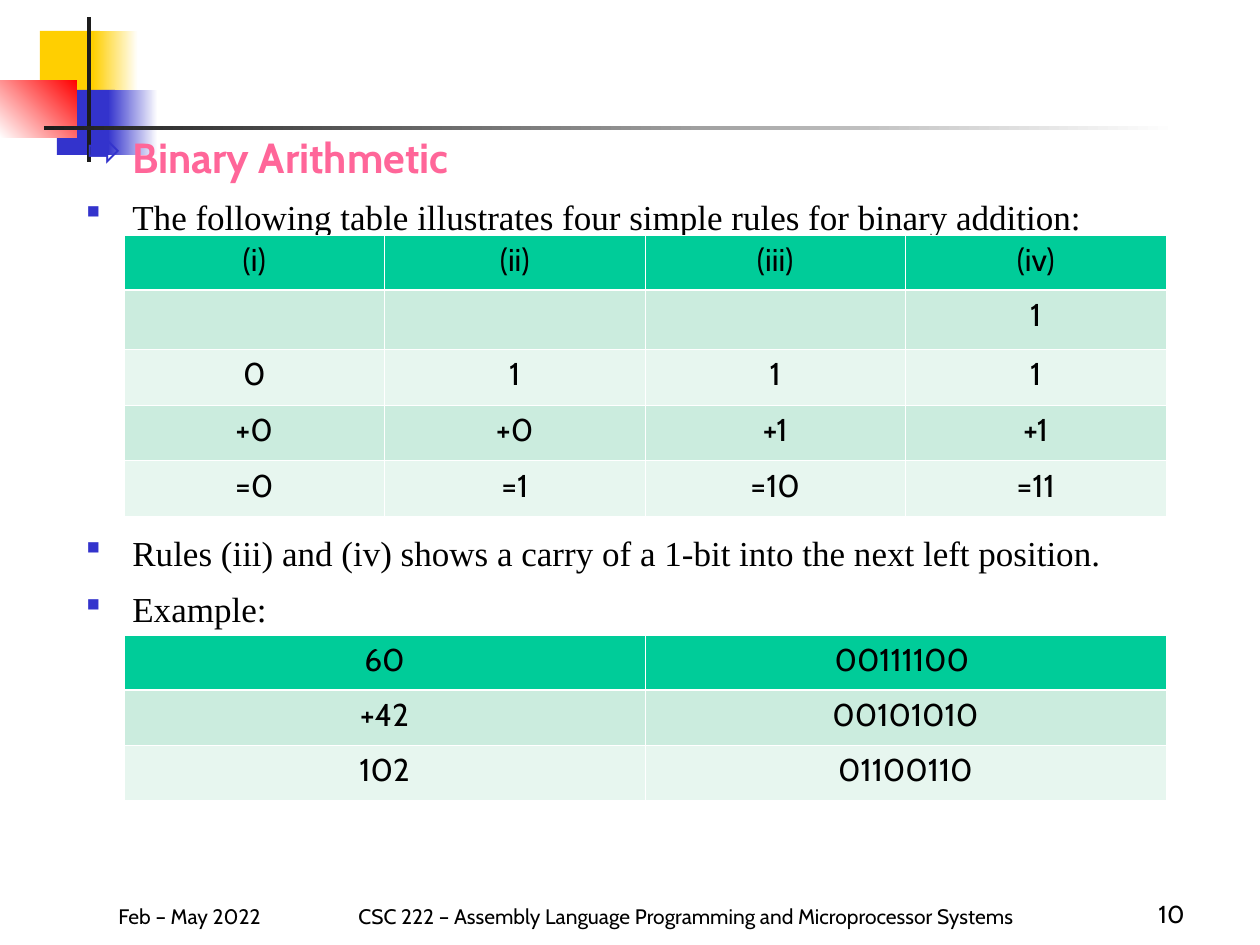
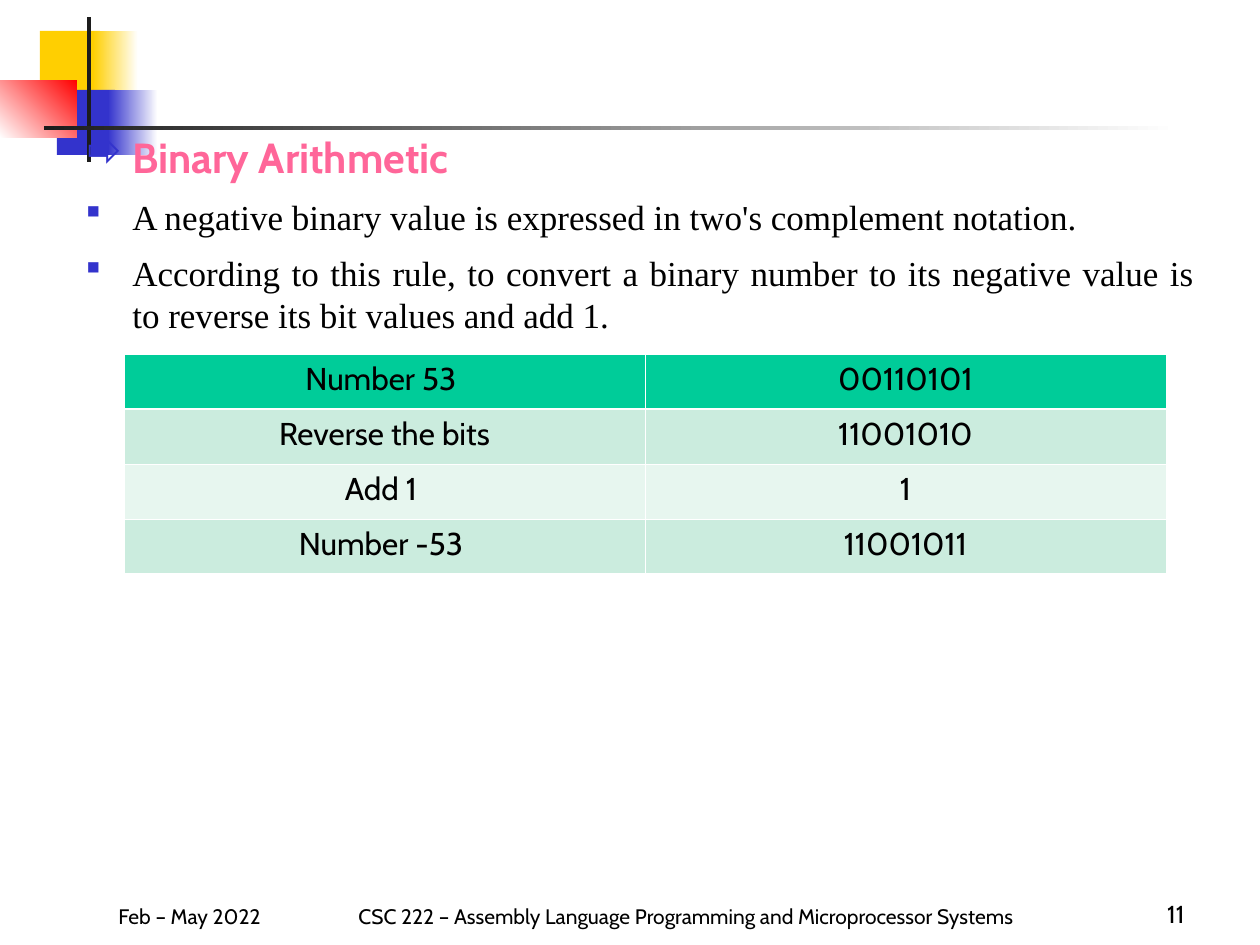
from lxml import etree
from pptx import Presentation
from pptx import util as u
from pptx.dml import color
from pptx.enum import shapes, text
from pptx.oxml import ns

PX = 914400 / 126
SANS, SERIF = "Cabin", "Times New Roman"
BLACK, WHITE, INK = "000000", "FFFFFF", "1C1C1C"
GOLD, BLUE, RED, PINK = "FFCF01", "3333CC", "FF0000", "FF6699"
HEAD, BANDS = "00CC99", ("CBECDE", "E7F6EF")
THIN, THICK = 0.45, 1.47
LEFT, MID, RIGHT, JUST = (text.PP_ALIGN.LEFT, text.PP_ALIGN.CENTER,
                          text.PP_ALIGN.RIGHT, text.PP_ALIGN.JUSTIFY)
ARROW, SQUARE = "\u00f0", "\u00a7"  # Wingdings codes


def px(n):
    """Turn pixels into EMU."""
    return u.Emu(round(n * PX))


def rgb(code):
    """Turn a hex string into a colour."""
    return color.RGBColor.from_string(code)


def sub(node, tag, **attrs):
    """Add a DrawingML child to a node."""
    return etree.SubElement(node, ns.qn("a:" + tag), attrs)


def write(para, words, size=18, font=SANS, ink=BLACK, bold=False, align=LEFT,
          before=None, line=None, mark=None):
    """Fill a paragraph with formatted text and, if asked, a bullet."""
    para.alignment = align
    if before is not None:
        para.space_before = u.Pt(before)
    if line:
        para.line_spacing = u.Pt(line)
    if mark:
        props = para._p.get_or_add_pPr()
        props.set("marL", str(px(47)))
        props.set("indent", str(-px(47)))
        sub(sub(props, "buClr"), "srgbClr", val=BLUE)
        sub(props, "buFont", typeface="Wingdings", charset="2")
        sub(props, "buChar", char=mark)
    run = para.add_run()
    run.text = words
    run.font.size = u.Pt(size)
    run.font.name = font
    run.font.bold = bold
    run.font.color.rgb = rgb(ink)


def frame(slide, box, anchor=text.MSO_ANCHOR.TOP):
    """Add a wrapping text box and return its text frame."""
    tf = slide.shapes.add_textbox(*map(px, box)).text_frame
    tf.word_wrap = True
    tf.vertical_anchor = anchor
    return tf


def block(slide, box, tints, angle=180):
    """Draw a borderless rectangle, plain or with a two-colour gradient."""
    shape = slide.shapes.add_shape(shapes.MSO_SHAPE.RECTANGLE, *map(px, box))
    shape.shadow.inherit = False
    shape.line.fill.background()
    if len(tints) == 1:
        shape.fill.solid()
        shape.fill.fore_color.rgb = rgb(tints[0])
        return
    shape.fill.gradient()
    shape.fill.gradient_angle = angle
    for stop, tint, at in zip(shape.fill.gradient_stops, tints, (0, 1)):
        stop.color.rgb = rgb(tint)
        stop.position = at


def badge(slide, x, y):
    """Draw the coloured squares and the crossing rules."""
    for dx, dy, w, h, tints, angle in (
            (40, 14, 60, 66, [GOLD], 180),
            (93, 14, 45, 66, [WHITE, GOLD], 180),
            (57, 73, 58, 65, [BLUE], 180),
            (108, 73, 50, 65, [WHITE, BLUE], 180),
            (0, 63, 77, 58, [RED, WHITE], 225),
            (87, 0, 4, 145, [INK], 180),
            (44, 109, 1134, 4, [WHITE, INK], 180)):
        block(slide, (x + dx, y + dy, w, h), tints, angle)


def footer(slide, number, y=872, h=63):
    """Write the date, the course and the slide number."""
    for x, w, words, size, align in (
            (106, 220, "Feb \u2013 May 2022", 12, LEFT),
            (346, 760, "CSC 222 \u2013 Assembly Language Programming and "
                       "Microprocessor Systems", 12, LEFT),
            (935, 262, str(number), 14, RIGHT)):
        tf = frame(slide, (x, y, w, h), text.MSO_ANCHOR.BOTTOM)
        write(tf.paragraphs[0], words, size=size, align=align)


def body(slide, box, title, points):
    """Write the title and the bullets, each with its space before."""
    tf = frame(slide, box)
    write(tf.paragraphs[0], title, size=24, ink=PINK, bold=True, before=8,
          mark=ARROW)
    for words, gap in points:
        write(tf.add_paragraph(), words, size=20, font=SERIF, align=JUST,
              before=gap, line=24, mark=SQUARE)


def edge(cell, top, bottom):
    """Give a cell white borders."""
    props = cell._tc.get_or_add_tcPr()
    for side, width in zip("LRTB", (THIN, THIN, top, bottom)):
        line = sub(props, "ln" + side, w=str(u.Pt(width)))
        sub(sub(line, "solidFill"), "srgbClr", val=WHITE)


def grid(slide, x, y, w, rows, highs):
    """Draw a banded table with a heading row."""
    cols = len(rows[0])
    table = slide.shapes.add_table(len(rows), cols, px(x), px(y), px(w),
                                   px(sum(highs))).table
    for col in table.columns:
        col.width = px(w / cols)
    for i, (row, high) in enumerate(zip(rows, highs)):
        table.rows[i].height = px(high)
        for j, words in enumerate(row):
            cell = table.cell(i, j)
            edge(cell, THICK if i == 1 else THIN, THIN if i else THICK)
            cell.fill.solid()
            cell.fill.fore_color.rgb = rgb(BANDS[(i - 1) % 2] if i else HEAD)
            if words:
                write(cell.text_frame.paragraphs[0], words, align=MID)


def page(deck, number, points, grids):
    """Build one slide from its bullets and tables."""
    slide = deck.slides.add_slide(deck.slide_layouts[6])
    badge(slide, 0, 17)
    footer(slide, number)
    body(slide, (73, 125, 1134, 777), "Binary Arithmetic", points)
    for y, rows, highs in grids:
        grid(slide, 124, y, 1042, rows, highs)


RULES = [("(i)", "(ii)", "(iii)", "(iv)"),
         ("", "", "", "1"),
         ("0", "1", "1", "1"),
         ("+0", "+0", "+1", "+1"),
         ("=0", "=1", "=10", "=11")]
SUM = [("60", "00111100 "), ("+42", "00101010"), ("102", "01100110")]
NEGATE = [("Number 53 ", "00110101"), ("Reverse the bits", "11001010"),
          ("Add 1 ", "1"), ("Number -53 ", "11001011")]

deck = Presentation()
deck.slide_width, deck.slide_height = px(1260), px(945)
page(deck, 10, [
    ("The following table illustrates four simple rules for binary addition:",
     8),
    ("Rules (iii) and (iv) shows a carry of a 1-bit into the next left "
     "position.", 168),
    ("Example:", 8),
], [(235, RULES, [55, 59, 56, 56, 56]), (635, SUM, [55] * 3)])
page(deck, 11, [
    ("A negative binary value is expressed in two's complement notation. ", 8),
    ("According to this rule, to convert a binary number to its negative "
     "value is to reverse its bit values and add 1.", 8),
], [(354, NEGATE, [55] * 4)])
deck.save("out.pptx")
